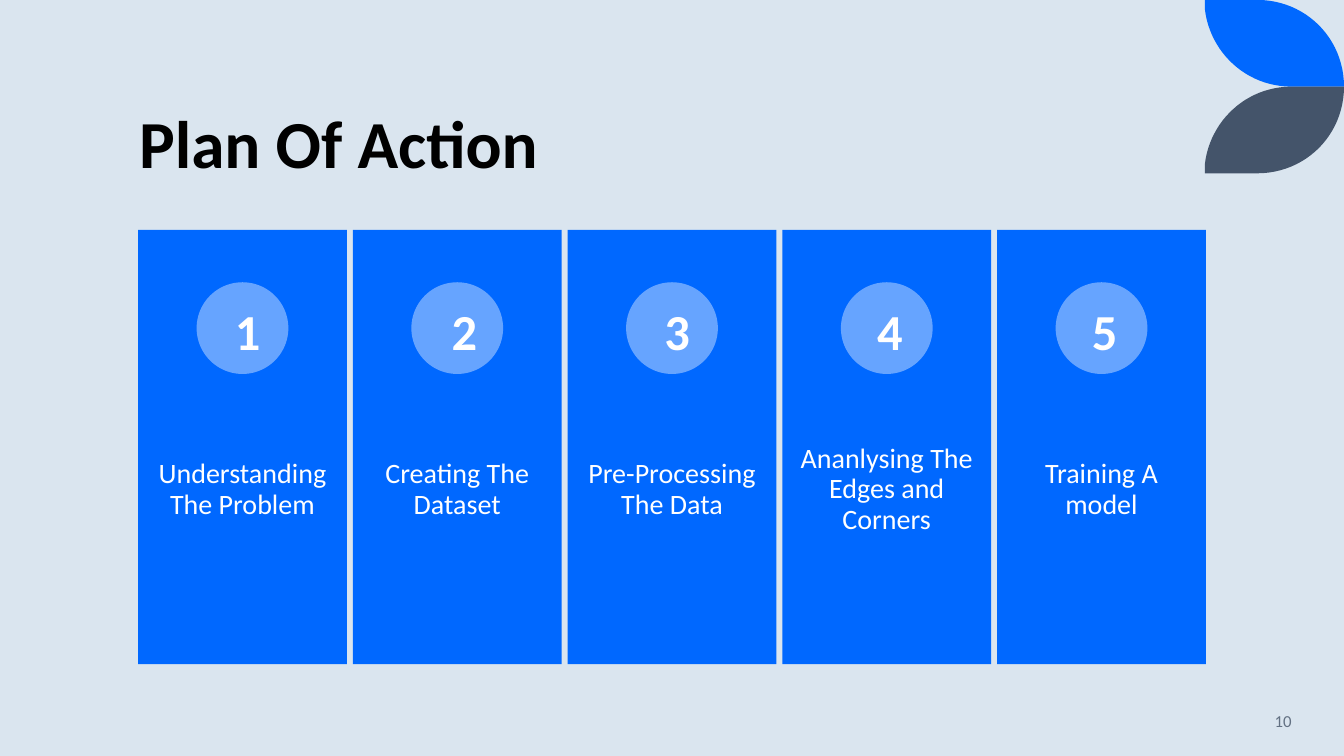
from pptx import Presentation
from pptx.dml.color import RGBColor
from pptx.enum.shapes import MSO_SHAPE as Shape
from pptx.enum.text import MSO_ANCHOR as Anchor, MSO_AUTO_SIZE as AutoSize, PP_ALIGN as Align
from pptx.util import Inches, Pt

# Content: step text and left edge of its number
TITLE = "Plan Of Action"
STEPS = [
    ("Understanding The Problem", 2.23),
    ("Creating The Dataset", 4.38),
    ("Pre-Processing The Data", 6.49),
    ("Ananlysing The Edges and Corners", 8.6),
    ("Training A model", 10.73),
]
PAGE_NUMBER = "10"

# Look
FONT = "Calibri"
BACKGROUND, BLUE, LIGHT_BLUE, SLATE = "DAE5EF", "0068FF", "66A4FF", "44546A"
WHITE, BLACK, GRAY = "FFFFFF", "000000", "637183"

# Layout, in inches
CARD_LEFT, CARD_TOP, CARD_WIDTH, CARD_HEIGHT = 1.37, 2.28, 2.07, 4.31
CARD_PITCH = 2.13
CIRCLE_TOP, CIRCLE_SIZE = 2.8, 0.91
LEAF_HEIGHT = 0.86
# Bezier control points of the leaf's two curved sides
LEAF_CURVES = [
    [(12.47, 0), (12.95, 0), (13.33, 0.38), (13.33, 0.86)],
    [(12.81, 0.86), (12.36, 0.86), (12, 0.52), (11.95, 0.09)],
]
CURVE_STEPS = 24


def color(hex_value):
    return RGBColor.from_string(hex_value)


def paint(shape, fill):
    shape.fill.solid()
    shape.fill.fore_color.rgb = color(fill)
    shape.line.fill.background()
    shape.shadow.inherit = False


def add_shape(kind, left, top, width, height, fill):
    shape = slide.shapes.add_shape(
        kind, Inches(left), Inches(top), Inches(width), Inches(height))
    paint(shape, fill)


def write(shape, text, size, fill, align, anchor, bold=False, spacing=1.0, inset=None):
    frame = shape.text_frame
    frame.text = text
    frame.word_wrap = True
    frame.auto_size = AutoSize.NONE
    frame.vertical_anchor = anchor
    if inset is not None:
        frame.margin_left = frame.margin_right = Inches(inset)
        frame.margin_top = frame.margin_bottom = Inches(inset)
    paragraph = frame.paragraphs[0]
    paragraph.alignment = align
    paragraph.line_spacing = spacing
    font = paragraph.runs[0].font
    font.name, font.size, font.bold = FONT, Pt(size), bold
    font.color.rgb = color(fill)


def add_text(left, top, width, height, *args, **options):
    box = slide.shapes.add_textbox(
        Inches(left), Inches(top), Inches(width), Inches(height))
    write(box, *args, **options)


def curve_point(controls, t):
    weights = ((1 - t) ** 3, 3 * t * (1 - t) ** 2, 3 * t * t * (1 - t), t ** 3)
    return tuple(sum(w * point[axis] for w, point in zip(weights, controls))
                 for axis in (0, 1))


def add_leaf(fill, mirrored):
    points = [(11.95, 0)]
    for controls in LEAF_CURVES:
        points += [curve_point(controls, i / CURVE_STEPS) for i in range(CURVE_STEPS + 1)]
    if mirrored:
        points = [(x, 2 * LEAF_HEIGHT - y) for x, y in points]
    outline = [(Inches(x), Inches(y)) for x, y in points]
    builder = slide.shapes.build_freeform(*outline[0])
    builder.add_line_segments(outline[1:], close=True)
    paint(builder.convert_to_shape(), fill)


presentation = Presentation()
presentation.slide_width, presentation.slide_height = Inches(13.33), Inches(7.5)
slide = presentation.slides.add_slide(presentation.slide_layouts[5])
slide.background.fill.solid()
slide.background.fill.fore_color.rgb = color(BACKGROUND)

# Corner leaves
add_leaf(BLUE, mirrored=False)
add_leaf(SLATE, mirrored=True)

# Title
title = slide.shapes.title
title.left, title.top = Inches(1.28), Inches(0.42)
title.width, title.height = Inches(10.69), Inches(1.45)
write(title, TITLE, 48, BLACK, Align.LEFT, Anchor.BOTTOM, bold=True, spacing=0.9)

# Step cards
for index, (step, number_left) in enumerate(STEPS):
    left = CARD_LEFT + index * CARD_PITCH
    circle_left = left + (CARD_WIDTH - CIRCLE_SIZE) / 2
    add_shape(Shape.RECTANGLE, left, CARD_TOP, CARD_WIDTH, CARD_HEIGHT, BLUE)
    add_text(left, 4, CARD_WIDTH, 1.72, step, 20, WHITE, Align.CENTER,
             Anchor.MIDDLE, spacing=0.9, inset=0.16)
    add_shape(Shape.OVAL, circle_left, CIRCLE_TOP, CIRCLE_SIZE, CIRCLE_SIZE, LIGHT_BLUE)
    add_text(number_left, 2.93, 0.38, 0.71, str(index + 1), 36, WHITE,
             Align.CENTER, Anchor.TOP, bold=True)

# Page number
add_text(11.1, 6.95, 1.81, 0.4, PAGE_NUMBER, 12, GRAY, Align.RIGHT, Anchor.MIDDLE)

presentation.save("out.pptx")
